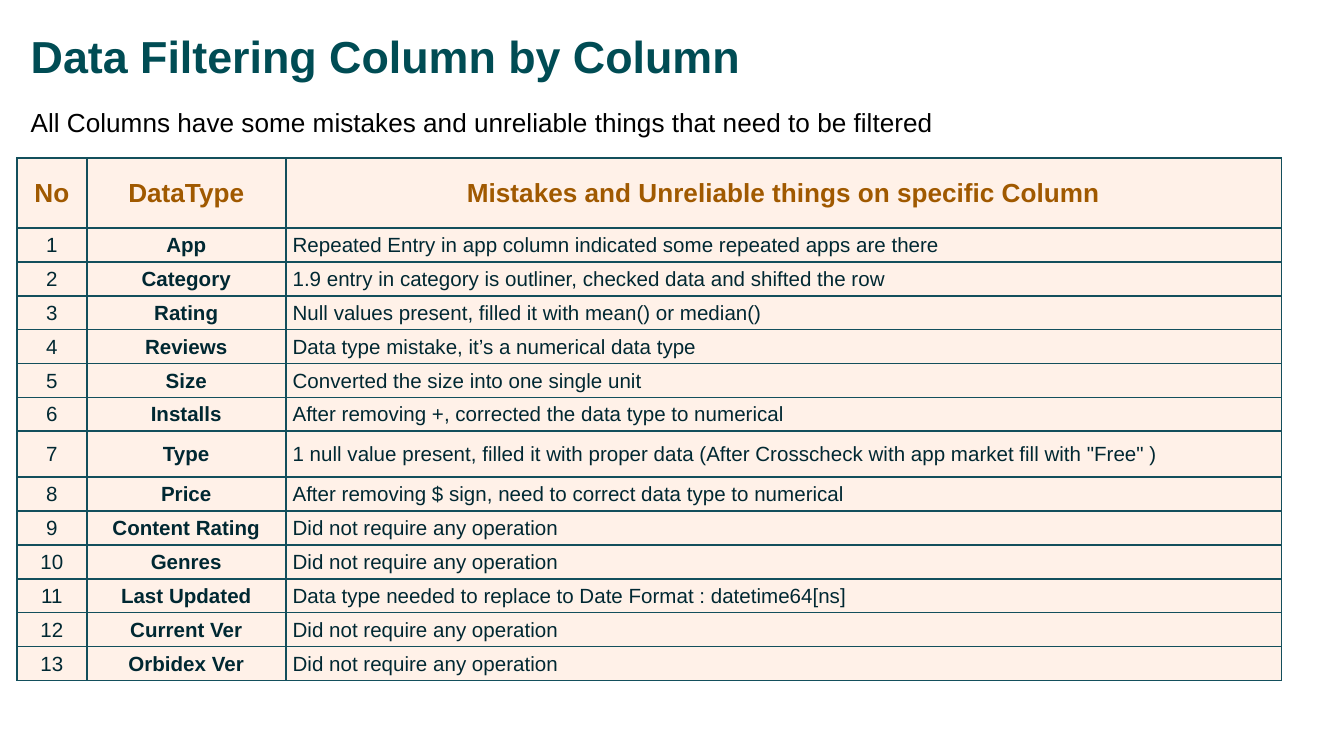
"""Build a slide with a table of data filtering notes, column by column."""
from lxml import etree
from pptx import Presentation
from pptx.dml.color import RGBColor
from pptx.enum.text import MSO_ANCHOR, PP_ALIGN
from pptx.oxml.ns import qn
from pptx.util import Cm, Pt

LEFT, MID = PP_ALIGN.LEFT, PP_ALIGN.CENTER
CENTRE = MSO_ANCHOR.MIDDLE

THEME = {
    "font": "Arial",
    "fill": "FFF1E8",
    "line": "134F5C",
    "title": ("004C54", 24),
    "lead": ("000000", 14),
    "head": ("A05900", 14),
    "cell": ("002832", 11),
}

NONE = "Did not require any operation"
HEAD = ("No", "DataType", "Mistakes and Unreliable things on specific Column")
NOTES = [
    ("App", "Repeated Entry in app column indicated some repeated apps are there"),
    ("Category", "1.9 entry in category is outliner, checked data and shifted the row"),
    ("Rating", "Null values present, filled it with mean() or median()"),
    ("Reviews", "Data type mistake, it’s a numerical data type"),
    ("Size", "Converted the size into one single unit"),
    ("Installs", "After removing +, corrected the data type to numerical"),
    ("Type", "1 null value present, filled it with proper data "
             "(After Crosscheck with app market fill with \"Free\" )"),
    ("Price", "After removing $ sign, need to correct data type to numerical"),
    ("Content Rating", NONE),
    ("Genres", NONE),
    ("Last Updated", "Data type needed to replace to Date Format : datetime64[ns]"),
    ("Current Ver", NONE),
    ("Orbidex Ver", NONE),
]
WIDTHS = (1.32, 3.76, 18.82)
TALL = {0: 1.32, 7: 0.87}
ROW = 0.64


def write(frame, text, style, bold=False, align=LEFT):
    para = frame.paragraphs[0]
    para.alignment = align
    run = para.add_run()
    run.text = text
    color, size = THEME[style]
    font = {"name": THEME["font"], "size": Pt(size), "bold": bold}
    for key, value in font.items():
        setattr(run.font, key, value)
    run.font.color.rgb = RGBColor.from_string(color)


def edge(cell):
    props = cell._tc.get_or_add_tcPr()
    for side in ("lnL", "lnR", "lnT", "lnB"):
        line = etree.SubElement(props, qn(f"a:{side}"), w=str(Pt(1)))
        fill = etree.SubElement(line, qn("a:solidFill"))
        etree.SubElement(fill, qn("a:srgbClr"), val=THEME["line"])


deck = Presentation()
deck.slide_width, deck.slide_height = Cm(25.4), Cm(14.29)
slide = deck.slides.add_slide(deck.slide_layouts[5])

title = slide.shapes.title
place = {"left": 0.33, "top": 0.25, "width": 23.67, "height": 1.6}
for key, value in place.items():
    setattr(title, key, Cm(value))
inset = ("margin_left", "margin_right", "margin_top", "margin_bottom")
for key in inset:
    setattr(title.text_frame, key, Cm(0.25))
title.text_frame.vertical_anchor = CENTRE
write(title.text_frame, "Data Filtering Column by Column", "title", True)

lead = slide.shapes.add_textbox(Cm(0.33), Cm(1.88), Cm(17.65), Cm(0.86))
lead.text_frame.word_wrap = False
write(lead.text_frame, "All Columns have some mistakes and unreliable things "
      "that need to be filtered", "lead")

rows = [HEAD] + [(str(num), *note) for num, note in enumerate(NOTES, 1)]
sizes = [TALL.get(num, ROW) for num in range(len(rows))]
grid = slide.shapes.add_table(len(rows), len(WIDTHS), Cm(0.32), Cm(2.99),
                              Cm(sum(WIDTHS)), Cm(sum(sizes))).table
for col, width in zip(grid.columns, WIDTHS):
    col.width = Cm(width)

for y, row in enumerate(rows):
    grid.rows[y].height = Cm(sizes[y])
    for x, text in enumerate(row):
        cell = grid.cell(y, x)
        note = y > 0 and x == 2
        form = {
            "margin_left": Cm(0.13 if note else 0.02),
            "margin_right": Cm(0.02),
            "margin_top": Cm(0.02),
            "margin_bottom": 0,
            "vertical_anchor": CENTRE,
        }
        for key, value in form.items():
            setattr(cell, key, value)
        edge(cell)
        cell.fill.solid()
        cell.fill.fore_color.rgb = RGBColor.from_string(THEME["fill"])
        write(cell.text_frame, text, "cell" if y else "head",
              y == 0 or x == 1, LEFT if note else MID)

deck.save("out.pptx")
